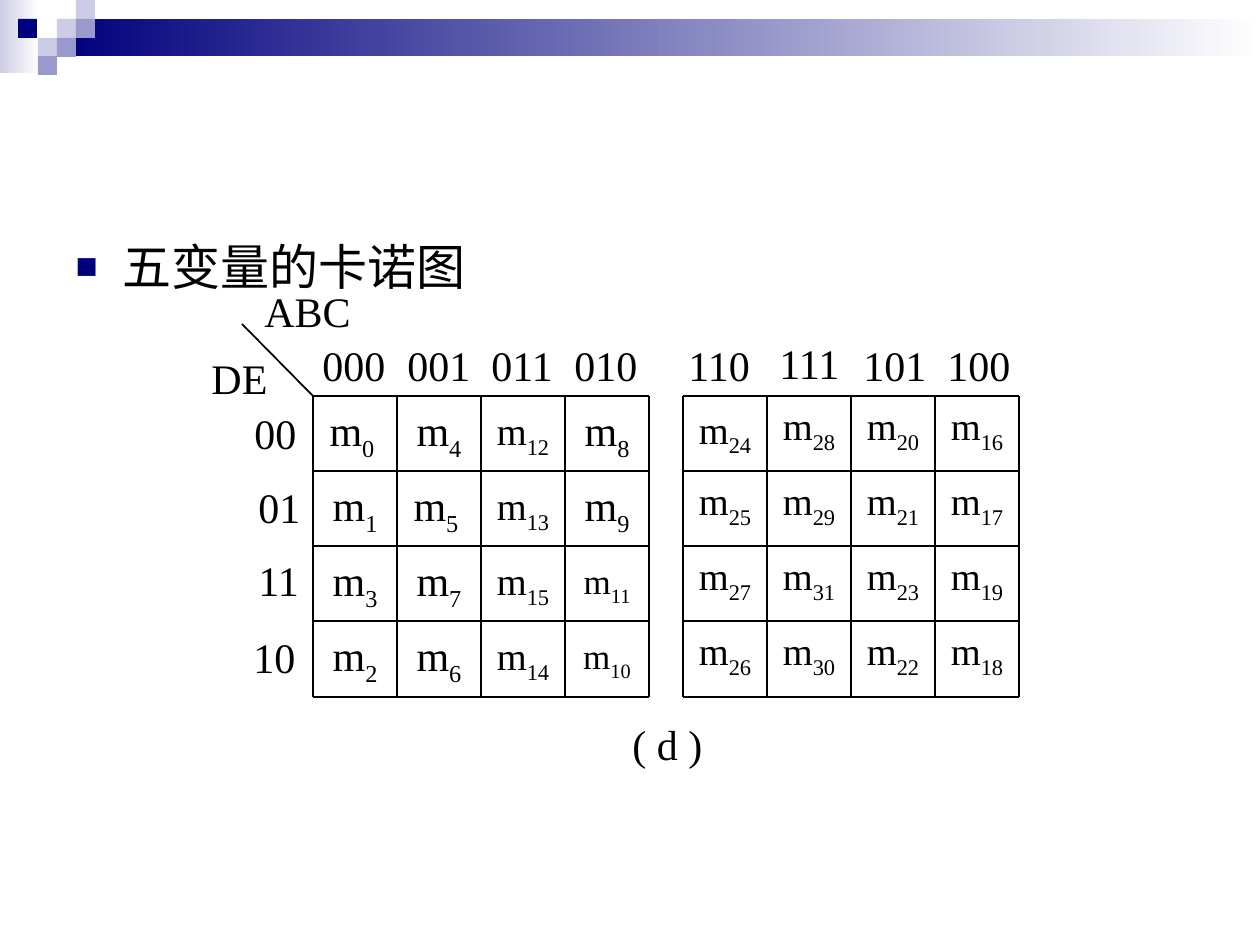
import dataclasses

import lxml.etree
import pptx
import pptx.dml.color
import pptx.enum.shapes
import pptx.enum.text
import pptx.oxml
import pptx.oxml.ns
import pptx.util


@dataclasses.dataclass(frozen=True)
class Theme:
    navy: str = "00007D"
    violet: str = "9999CC"
    lavender: str = "CCCCE6"
    white: str = "FFFFFF"
    ink: str = "000000"
    body_font: str = "Arial"
    map_font: str = "Times New Roman"
    body_size: int = 28
    label_size: int = 24
    pair_size: int = 22
    small_size: int = 20
    line_width: int = 1


def scale(px):
    return pptx.util.Emu(round(px * 914400 / 126))


def rgb(value):
    return pptx.dml.color.RGBColor.from_string(value)


def add_xml(parent, tag, **attributes):
    return lxml.etree.SubElement(parent, pptx.oxml.ns.qn(tag), attributes)


class SlideBuilder:
    def __init__(self, page, theme):
        self.page = page
        self.theme = theme

    def format_span(self, span, size, font):
        span.font.size = pptx.util.Pt(size)
        span.font.name = font
        span.font.color.rgb = rgb(self.theme.ink)

    def block(self, left, top, width, height, *colors):
        box = self.page.shapes.add_shape(
            pptx.enum.shapes.MSO_SHAPE.RECTANGLE, *map(scale, (left, top, width, height)))
        box.shadow.inherit = False
        box.line.fill.background()
        if len(colors) == 1:
            box.fill.solid()
            box.fill.fore_color.rgb = rgb(colors[0])
        else:
            box.fill.gradient()
            box.fill.gradient_angle = 0
            for stop, color, position in zip(box.fill.gradient_stops, colors, (0, 1)):
                stop.color.rgb = rgb(color)
                stop.position = position

    def bullet(self, text, left, top, width, height):
        box = self.page.placeholders[1]
        box.left, box.top, box.width, box.height = map(scale, (left, top, width, height))
        frame = box.text_frame
        frame.text = text
        frame.auto_size = pptx.enum.text.MSO_AUTO_SIZE.NONE
        paragraph = frame.paragraphs[0]
        paragraph.line_spacing = 1.3
        self.format_span(paragraph.runs[0], self.theme.body_size, self.theme.body_font)
        settings = paragraph._p.get_or_add_pPr()
        settings.set("marL", str(scale(47)))
        settings.set("indent", str(scale(-47)))
        add_xml(add_xml(settings, "a:buClr"), "a:srgbClr", val=self.theme.navy)
        add_xml(settings, "a:buSzPct", val="75000")
        add_xml(settings, "a:buFont", typeface=self.theme.body_font)
        add_xml(settings, "a:buChar", char="■")

    def label(self, text, left, top, width, wrap=True):
        box = self.page.shapes.add_textbox(*map(scale, (left, top, width, 63)))
        frame = box.text_frame
        frame.text = text
        frame.word_wrap = wrap
        self.format_span(frame.paragraphs[0].runs[0], self.theme.label_size, self.theme.map_font)

    def line(self, left, top, right, bottom):
        connector = self.page.shapes.add_connector(
            pptx.enum.shapes.MSO_CONNECTOR.STRAIGHT, *map(scale, (left, top, right, bottom)))
        connector.line.color.rgb = rgb(self.theme.ink)
        connector.line.width = pptx.util.Pt(self.theme.line_width)
        add_xml(connector._element.spPr, "a:effectLst")

    def minterm(self, number, left, top, width, height, anchor):
        size = self.theme.label_size
        if number >= 10:
            size = self.theme.small_size if number < 12 else self.theme.pair_size
        box = self.page.shapes.add_textbox(*map(scale, (left, top, width, height)))
        frame = box.text_frame
        frame.word_wrap = True
        frame.vertical_anchor = anchor
        paragraph = frame.paragraphs[0]
        paragraph.alignment = pptx.enum.text.PP_ALIGN.CENTER
        padded = " " if number in (0, 5) else ""
        for text in ("m", f"{number}{padded}"):
            span = paragraph.add_run()
            span.text = text
            self.format_span(span, size, self.theme.map_font)
        span.font._element.set("baseline", "-25000")
        if number == 24:
            space = paragraph.add_run()
            space.text = " "
            self.format_span(space, self.theme.label_size, self.theme.map_font)

    def karnaugh_grid(self, left, top, columns, rows, anchor):
        lefts = [left + 84 * index for index in range(len(columns) + 1)]
        tops = [top + 301 * index // len(rows) for index in range(len(rows) + 1)]
        for row, cell_top in zip(rows, tops):
            for column, cell_left in zip(columns, lefts):
                self.minterm(int(column + row, 2), cell_left, cell_top, 84, 75, anchor)
        for edge in tops:
            self.line(lefts[0], edge, lefts[-1], edge)
        for edge in lefts:
            self.line(edge, tops[0], edge, tops[-1])


def main():
    deck = pptx.Presentation()
    deck.slide_width, deck.slide_height = scale(1260), scale(945)
    page = deck.slides.add_slide(deck.slide_layouts[1])
    title = page.shapes.title._element
    title.getparent().remove(title)
    theme = Theme()
    builder = SlideBuilder(page, theme)

    builder.block(0, 0, 39, 73, theme.lavender, theme.white)
    builder.block(57, 19, 1203, 37, theme.navy, theme.white)
    for left, top, color in (
        (57, 19, theme.lavender), (76, 0, theme.lavender), (76, 19, theme.violet),
        (38, 38, theme.lavender), (18, 19, theme.navy), (57, 38, theme.violet),
        (38, 56, theme.violet),
    ):
        builder.block(left, top, 19, 19, color)

    builder.bullet("五变量的卡诺图", 63, 213, 1101, 89)

    rows = ("00", "01", "11", "10")
    left_columns = ("000", "001", "011", "010")
    right_columns = ("110", "111", "101", "100")
    anchors = pptx.enum.text.MSO_ANCHOR
    builder.karnaugh_grid(313, 396, left_columns, rows, anchors.MIDDLE)
    builder.karnaugh_grid(683, 396, right_columns, rows, anchors.TOP)
    builder.line(242, 324, 313, 396)

    for text, left, top in zip(rows, (242, 246, 246, 241), (401, 475, 548, 625)):
        builder.label(text, left, top, 67, wrap=False)
    heading_lefts = (310, 395, 479, 562, 676, 767, 851, 935)
    for text, left in zip(left_columns + right_columns, heading_lefts):
        builder.label(text, left, 331 if text == "111" else 333, 95)
    builder.label("ABC", 252, 279, 126)
    builder.label("DE", 199, 346, 84)
    builder.label("( d )", 620, 712, 136)

    deck.save("out.pptx")


if __name__ == "__main__":
    main()
